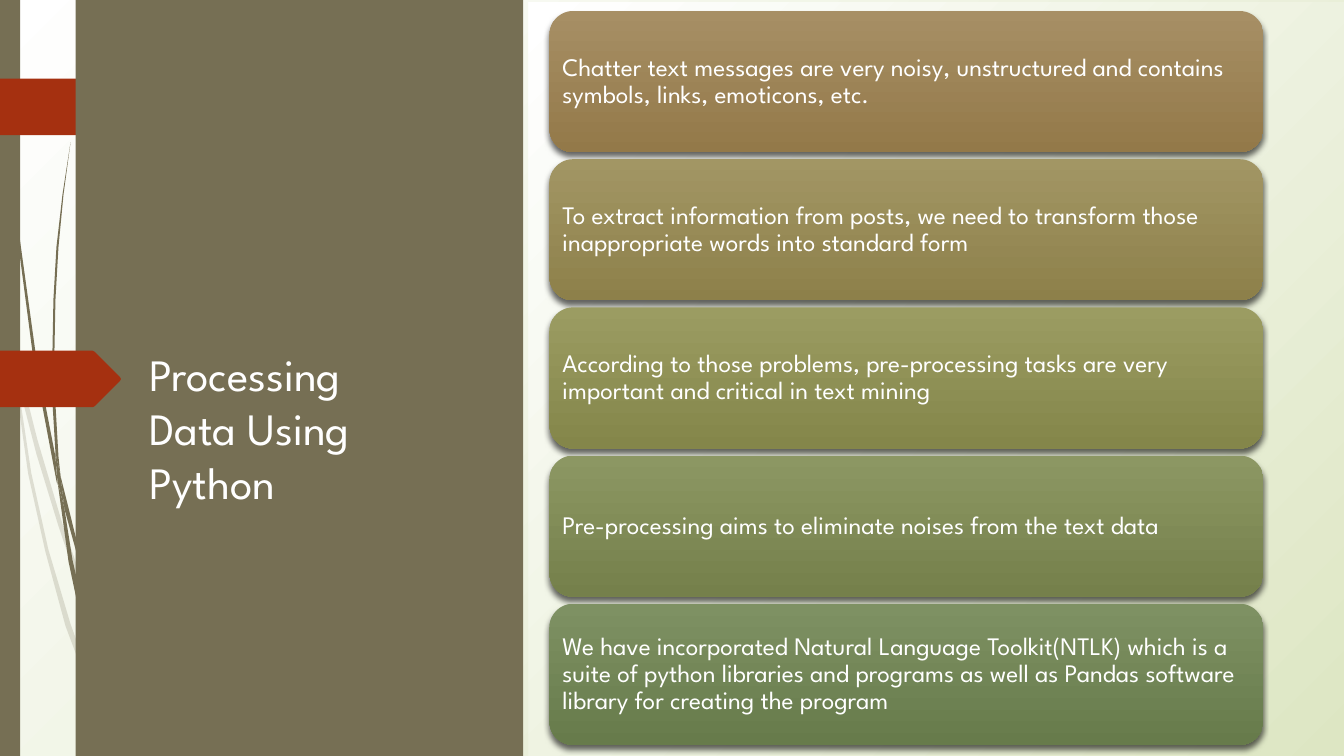
from dataclasses import dataclass

from pptx import Presentation
from pptx.dml.color import RGBColor
from pptx.dml.fill import FillFormat
from pptx.enum.shapes import MSO_SHAPE as Preset
from pptx.enum.text import MSO_ANCHOR as Anchor, PP_ALIGN as Align
from pptx.oxml import parse_xml
from pptx.oxml.ns import nsdecls
from pptx.shapes.autoshape import Shape
from pptx.slide import Slide
from pptx.text.text import TextFrame
from pptx.util import Inches, Pt

Points = list[tuple[float, float]]


@dataclass(frozen=True)
class Theme:
    """Colours, font and type sizes of the slide."""
    olive: str = "766F54"
    red: str = "A53010"
    white: str = "FFFFFF"
    mist: str = "DDE6C3"
    font: str = "League Spartan"
    title_size: int = 32
    card_size: int = 18


@dataclass(frozen=True)
class Box:
    """A rectangle in inches."""
    left: float
    top: float
    width: float
    height: float

    def lengths(self) -> list[Inches]:
        """Return the four measures as lengths."""
        return [Inches(v) for v in (self.left, self.top, self.width, self.height)]


@dataclass(frozen=True)
class Card:
    """One statement and its gradient."""
    statement: str
    upper: str
    lower: str


@dataclass(frozen=True)
class Wisp:
    """One grass blade outline and its opacity in percent."""
    outline: Points
    opacity: int = 100


@dataclass(frozen=True)
class Tag:
    """A red marker pointing right from the slide edge."""
    top: float
    width: float


THEME = Theme()
CARD_LEFT, CARD_TOP, CARD_WIDTH, CARD_HEIGHT, CARD_PITCH = 5.45, 0.11, 7.08, 1.4, 1.47

CARDS = [
    Card("Chatter text messages are very noisy, unstructured and contains symbols, links, "
         "emoticons, etc.", "A78F65", "937949"),
    Card("To extract information from posts, we need to transform those inappropriate words "
         "into standard form", "A29664", "8D804A"),
    Card("According to those problems, pre-processing tasks are very important and critical "
         "in text mining", "9B9C62", "84864A"),
    Card("Pre-processing aims to eliminate noises from the text data", "8C9763", "75804B"),
    Card("We have incorporated Natural Language Toolkit(NTLK) which is a suite of python "
         "libraries and programs as well as Pandas software library for creating the program",
         "7E9163", "677B4B"),
]

WISPS = [
    Wisp([(0.58, 5.22), (0.84, 5.99), (0.85, 5.86), (0.62, 5.2), (0.37, 4.36), (0.14, 3.45),
          (0.17, 3.76), (0.36, 4.5)], 20),
    Wisp([(0.93, 6.83), (0.7, 6.19), (0.48, 5.45), (0.31, 4.69), (0.17, 3.76), (0.11, 3.5),
          (0.28, 4.7), (0.45, 5.47), (0.65, 6.21), (0.92, 6.93), (1.01, 7.14)], 20),
    Wisp([(0.07, 1.1), (0.17, 2.33), (0.33, 3.55), (0.56, 4.77), (0.57, 4.81), (0.55, 4.53),
          (0.36, 3.55), (0.19, 2.32), (0.08, 1.09), (0.05, 0.48), (0.04, 0), (0.03, 0),
          (0.04, 0.48)]),
    Wisp([(0.88, 5.92), (1.06, 6.45), (1.06, 6.31), (0.93, 5.9), (0.75, 5.32), (0.6, 4.72),
          (0.64, 5.05)]),
    Wisp([(1.1, 6.91), (0.98, 6.57), (0.84, 6.07), (0.72, 5.56), (0.64, 5.05), (0.57, 4.77),
          (0.68, 5.57), (0.79, 6.09), (0.93, 6.59), (1.11, 7.08), (1.17, 7.22)]),
    Wisp([(0.6, 4.72), (0.58, 4.53), (0.55, 4.01), (0.54, 3.49), (0.55, 2.97), (0.58, 2.45),
          (0.63, 1.93), (0.7, 1.41), (0.62, 1.93), (0.56, 2.45), (0.53, 2.97), (0.52, 3.49),
          (0.52, 3.99), (0.55, 4.49)]),
    Wisp([(0.57, 4.77), (0.64, 5.05), (0.6, 4.72), (0.55, 4.49), (0.55, 4.53)]),
]


def paint_gradient(fill: FillFormat, first: str, last: str) -> None:
    """Fill with a two-colour gradient running downwards."""
    fill.gradient()
    fill.gradient_angle = 270
    for stop, colour, position in zip(fill.gradient_stops, (first, last), (0, 1)):
        stop.color.rgb = RGBColor.from_string(colour)
        stop.position = position


def radiate(slide_part: Slide | Shape) -> None:
    """Turn a linear gradient into one spreading from the top left corner."""
    for direction in slide_part._element.xpath(".//a:gradFill/a:lin"):
        spread = parse_xml(f'<a:path {nsdecls("a")} path="circle">'
                           '<a:fillToRect r="100000" b="100000"/></a:path>')
        direction.getparent().replace(direction, spread)


def strip_effects(shape: Shape) -> Shape:
    """Remove outline and shadow."""
    shape.line.fill.background()
    shape.shadow.inherit = False
    return shape


def add_panel(slide: Slide, box: Box, preset: Preset = Preset.RECTANGLE) -> Shape:
    """Add an olive preset shape."""
    panel = strip_effects(slide.shapes.add_shape(preset, *box.lengths()))
    panel.fill.solid()
    panel.fill.fore_color.rgb = RGBColor.from_string(THEME.olive)
    return panel


def add_outline(slide: Slide, points: Points, colour: str, opacity: int = 100) -> None:
    """Add a closed filled outline."""
    corners = [(Inches(x), Inches(y)) for x, y in points]
    builder = slide.shapes.build_freeform(*corners[0])
    builder.add_line_segments(corners[1:])
    outline = strip_effects(builder.convert_to_shape())
    outline.fill.solid()
    outline.fill.fore_color.rgb = RGBColor.from_string(colour)
    if opacity < 100:
        tint = outline._element.xpath("./p:spPr/a:solidFill/a:srgbClr")[0]
        tint.append(parse_xml(f'<a:alpha {nsdecls("a")} val="{opacity * 1000}"/>'))


def add_tag(slide: Slide, tag: Tag) -> None:
    """Add a red marker with a blunted tip."""
    shoulder, tip, middle, bottom = tag.width - 0.26, tag.width, tag.top + 0.28, tag.top + 0.56
    add_outline(slide, [(0, tag.top), (shoulder - 0.02, tag.top), (shoulder, tag.top + 0.01),
                        (tip - 0.01, middle - 0.02), (tip, middle), (tip - 0.01, middle + 0.02),
                        (shoulder, bottom - 0.01), (shoulder - 0.02, bottom), (0, bottom)],
                THEME.red)


def write(frame: TextFrame, wording: str, size: int, frame_format: dict, spacing: float) -> None:
    """Write one left-aligned white paragraph."""
    paragraph = frame.paragraphs[0]
    paragraph.text = wording
    formats = [
        (frame, {"word_wrap": True, **frame_format}),
        (paragraph, {"alignment": Align.LEFT, "line_spacing": spacing}),
        (paragraph.runs[0].font, {"name": THEME.font, "size": Pt(size)}),
    ]
    for target, values in formats:
        for attribute, value in values.items():
            setattr(target, attribute, value)
    paragraph.runs[0].font.color.rgb = RGBColor.from_string(THEME.white)


def add_card(slide: Slide, card: Card, top: float) -> None:
    """Add a rounded gradient card with a soft shadow below."""
    panel = add_panel(slide, Box(CARD_LEFT, top, CARD_WIDTH, CARD_HEIGHT),
                      Preset.ROUNDED_RECTANGLE)
    paint_gradient(panel.fill, card.upper, card.lower)
    effects = panel._element.xpath("./p:spPr/a:effectLst")[0]
    effects.append(parse_xml(
        f'<a:outerShdw {nsdecls("a")} blurRad="{Pt(4)}" dist="{Pt(3)}" dir="5400000" '
        'rotWithShape="0"><a:srgbClr val="000000"><a:alpha val="60000"/></a:srgbClr>'
        '</a:outerShdw>'))
    write(panel.text_frame, card.statement, THEME.card_size,
          {"vertical_anchor": Anchor.MIDDLE, "margin_left": Inches(0.06),
           "margin_right": Inches(0.06)}, 0.9)


def main() -> None:
    """Build the slide and save it."""
    deck = Presentation()
    deck.slide_width, deck.slide_height = Inches(13.33), Inches(7.5)
    slide = deck.slides.add_slide(deck.slide_layouts[6])
    paint_gradient(slide.background.fill, THEME.white, THEME.mist)
    radiate(slide)

    for wisp in WISPS:
        add_outline(slide, wisp.outline, THEME.olive, wisp.opacity)
    add_panel(slide, Box(0, 0, 0.2, 7.5))
    add_tag(slide, Tag(0.78, 1.74))
    backdrop = add_panel(slide, Box(5.24, 0.02, 8.09, 7.48))
    paint_gradient(backdrop.fill, THEME.white, THEME.mist)
    radiate(backdrop)
    add_panel(slide, Box(0.75, 0, 4.44, 7.5))
    add_tag(slide, Tag(3.48, 1.2))

    title = slide.shapes.add_textbox(*Box(1.38, 3.39, 2.68, 3.31).lengths())
    write(title.text_frame, "Processing Data Using Python", THEME.title_size,
          {"vertical_anchor": Anchor.TOP}, 1.0)
    for row, card in enumerate(CARDS):
        add_card(slide, card, CARD_TOP + row * CARD_PITCH)
    deck.save("out.pptx")


if __name__ == "__main__":
    main()
